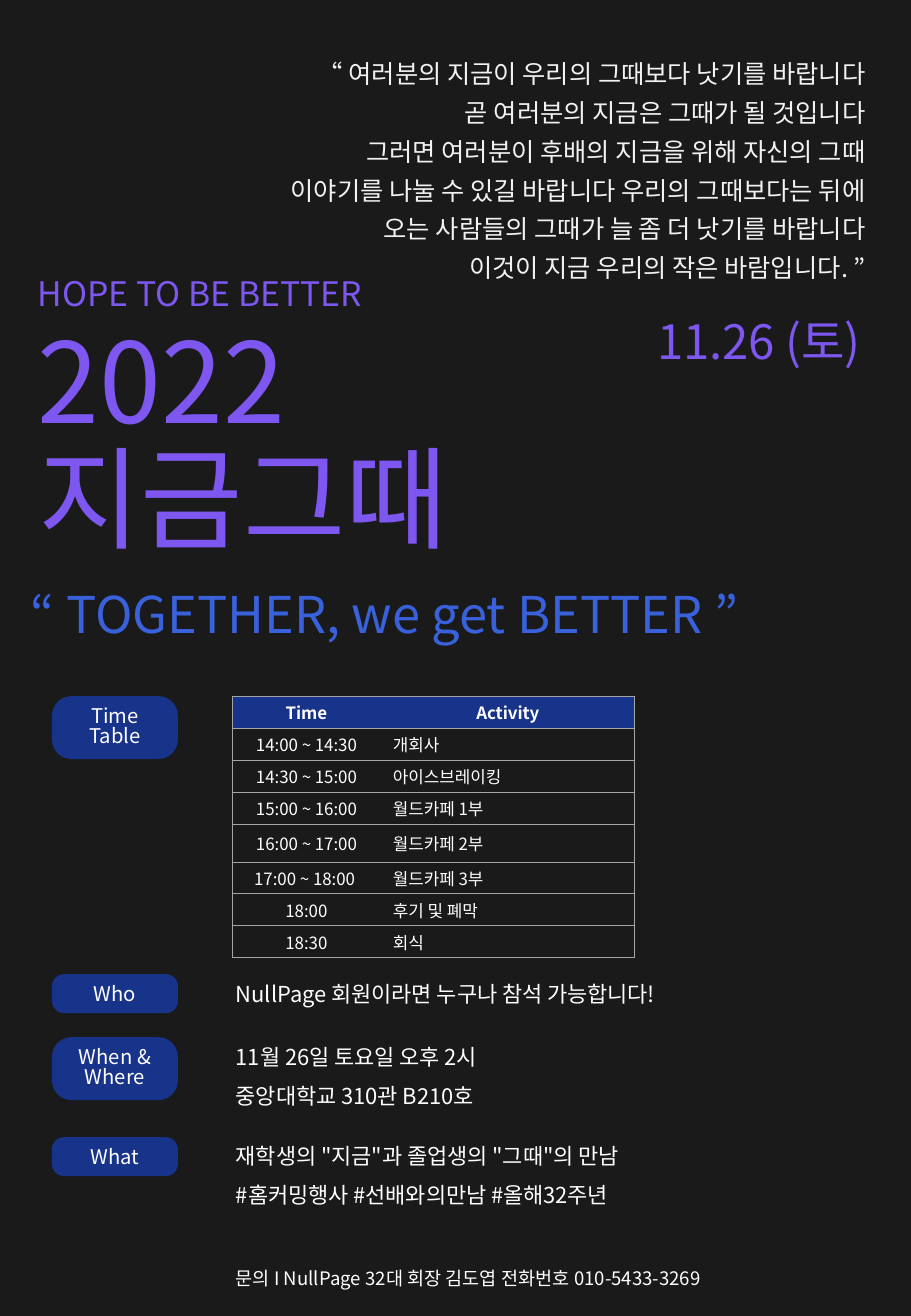
"""Build the homecoming event poster as a single portrait slide."""
from lxml import etree
from pptx import Presentation
from pptx import util as u
from pptx.dml.color import RGBColor
from pptx.enum import shapes, text
from pptx.oxml.ns import qn

PX = 914400 / 121.5
FONT = "Noto Sans CJK KR"
DARK = RGBColor(0x1A, 0x1A, 0x1A)
PURPLE = RGBColor(0x7D, 0x57, 0xF0)
BLUE = RGBColor(0x39, 0x61, 0xDB)
NAVY = RGBColor(0x18, 0x33, 0x8A)
WHITE = RGBColor(0xFF, 0xFF, 0xFF)
PALE = RGBColor(0xF2, 0xF2, 0xF2)
GREY = RGBColor(0xA5, 0xA5, 0xA5)
LEFT, CENTER, RIGHT = text.PP_ALIGN.LEFT, text.PP_ALIGN.CENTER, text.PP_ALIGN.RIGHT

QUOTE = [
    "“ 여러분의 지금이 우리의 그때보다 낫기를 바랍니다",
    "곧 여러분의 지금은 그때가 될 것입니다",
    "그러면 여러분이 후배의 지금을 위해 자신의 그때 이야기를 나눌 수 있길 바랍니다 "
    "우리의 그때보다는 뒤에 오는 사람들의 그때가 늘 좀 더 낫기를 바랍니다",
    "이것이 지금 우리의 작은 바람입니다. ”",
]
SCHEDULE = [
    ("Time", "Activity"),
    ("14:00 ~ 14:30", "개회사"),
    ("14:30 ~ 15:00", "아이스브레이킹"),
    ("15:00 ~ 16:00", "월드카페 1부"),
    ("16:00 ~ 17:00", "월드카페 2부"),
    ("17:00 ~ 18:00 ", "월드카페 3부"),
    ("18:00", "후기 및 폐막"),
    ("18:30", "회식"),
]
LABELS = [
    (696, 63, ["Time", "Table"]),
    (974, 39, ["Who"]),
    (1037, 63, ["When &", "Where"]),
    (1137, 39, ["What"]),
]
DETAILS = [
    (974, 39, 13, None, ["NullPage 회원이라면 누구나 참석 가능합니다!"]),
    (1024, 89, 13, 1.5, ["11월 26일 토요일 오후 2시", "중앙대학교 310관 B210호"]),
    (1123, 89, 13, 1.5, ['재학생의 "지금"과 졸업생의 "그때"의 만남',
                         "#홈커밍행사 #선배와의만남 #올해32주년"]),
    (1261, 35, 11, None, ["문의 I NullPage 32대 회장 김도엽 전화번호 010-5433-3269"]),
]


def px(n):
    """Turn pixels into EMU."""
    return u.Emu(round(n * PX))


def write(tf, lines, size, color, align=LEFT, spacing=None, bold=False):
    """Fill a text frame with one paragraph per line."""
    tf.word_wrap = True
    for i, line in enumerate(lines):
        p = tf.add_paragraph() if i else tf.paragraphs[0]
        p.alignment = align
        if spacing:
            p.line_spacing = spacing
        r = p.add_run()
        r.text = line
        r.font.size = u.Pt(size)
        r.font.name = FONT
        r.font.bold = bold
        r.font.color.rgb = color
        ea = etree.SubElement(r.font._element, qn("a:ea"))
        ea.set("typeface", FONT)


def add_text(s, box, lines, size, color, align=LEFT, spacing=None):
    """Add a text box."""
    sp = s.shapes.add_textbox(*map(px, box))
    write(sp.text_frame, lines, size, color, align, spacing)


def set_title(s, box, title):
    """Move and format the title placeholder."""
    sp = s.shapes.title
    sp.left, sp.top, sp.width, sp.height = map(px, box)
    tf = sp.text_frame
    tf.auto_size = text.MSO_AUTO_SIZE.NONE
    tf.vertical_anchor = text.MSO_ANCHOR.TOP
    write(tf, [title], 66, PURPLE)


def add_label(s, top, height, lines):
    """Add a rounded section label."""
    sp = s.shapes.add_shape(shapes.MSO_SHAPE.ROUNDED_RECTANGLE,
                            *map(px, (52, top, 126, height)))
    sp.adjustments[0] = 0.31
    sp.shadow.inherit = False
    sp.fill.solid()
    sp.fill.fore_color.rgb = NAVY
    sp.line.fill.background()
    tf = sp.text_frame
    tf.vertical_anchor = text.MSO_ANCHOR.MIDDLE
    write(tf, lines, 12, WHITE, CENTER, 0.82 if len(lines) > 1 else None)


def set_borders(cell, visible):
    """Draw the visible sides of a cell and clear the others."""
    tcPr = cell._tc.get_or_add_tcPr()
    for i, side in enumerate("LRTB"):
        ln = etree.Element(qn(f"a:ln{side}"), w=str(u.Pt(0.5)))
        if side in visible:
            fill = etree.SubElement(ln, qn("a:solidFill"))
            etree.SubElement(fill, qn("a:srgbClr"), val=str(GREY))
        else:
            etree.SubElement(ln, qn("a:noFill"))
        tcPr.insert(i, ln)


def add_schedule(s, left, top):
    """Add the timetable."""
    widths = (149, 254)
    heights = [38 if row[0] == "16:00 ~ 17:00" else 32 for row in SCHEDULE]
    frame = s.shapes.add_table(len(SCHEDULE), 2, px(left), px(top),
                               px(sum(widths)), px(sum(heights)))
    table = frame.table
    table.first_row = table.horz_banding = False
    for column, width in zip(table.columns, widths):
        column.width = px(width)
    for i, row in enumerate(SCHEDULE):
        table.rows[i].height = px(heights[i])
        for j, value in enumerate(row):
            cell = table.cell(i, j)
            cell.margin_top = cell.margin_bottom = px(4)
            cell.vertical_anchor = text.MSO_ANCHOR.MIDDLE
            if i == 0:
                cell.fill.solid()
                cell.fill.fore_color.rgb = NAVY
            else:
                cell.fill.background()
            align = LEFT if i and j else CENTER
            write(cell.text_frame, [value], 10, WHITE, align, bold=i == 0)
            set_borders(cell, "RTB" if j else "LTB")


def main():
    """Assemble and save the poster."""
    prs = Presentation()
    prs.slide_width, prs.slide_height = u.Inches(7.5), u.Inches(10.83)
    s = prs.slides.add_slide(prs.slide_layouts[5])
    s.background.fill.solid()
    s.background.fill.fore_color.rgb = DARK

    add_text(s, (26, 306, 354, 147), ["2022"], 66, PURPLE)
    set_title(s, (26, 423, 474, 147), "지금그때")
    add_text(s, (597, 306, 276, 69), ["11.26 (토)"], 28, PURPLE, RIGHT)
    add_text(s, (26, 267, 354, 53), ["HOPE TO BE BETTER"], 20, PURPLE)
    add_text(s, (19, 577, 874, 74), ["“ TOGETHER, we get BETTER ”"], 30, BLUE)
    for label in LABELS:
        add_label(s, *label)
    for top, height, size, spacing, lines in DETAILS:
        add_text(s, (224, top, 574, height), lines, size, WHITE, spacing=spacing)
    add_schedule(s, 232, 696)
    add_text(s, (266, 44, 612, 204), QUOTE, 15, PALE, RIGHT, u.Pt(23))
    prs.save("out.pptx")


if __name__ == "__main__":
    main()
